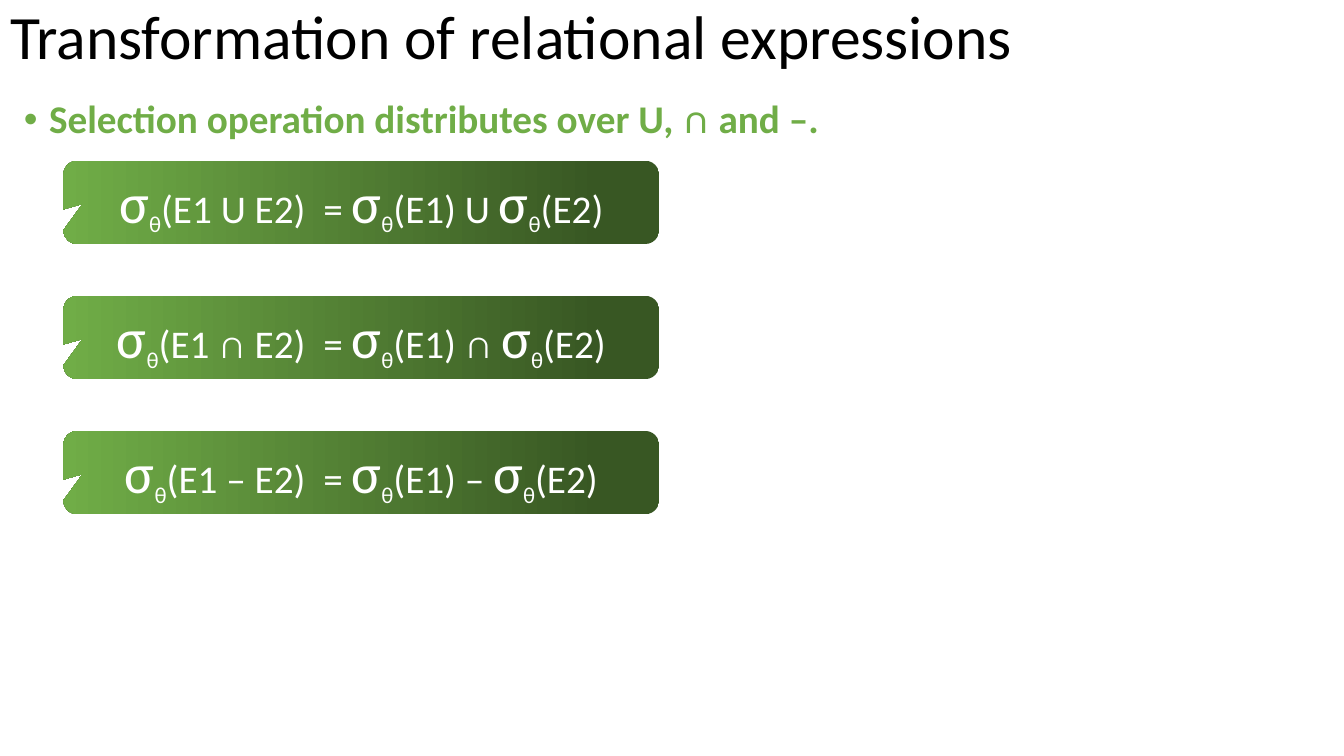
import pptx
import pptx.util
import pptx.dml.color
import pptx.enum.shapes
import pptx.enum.text
import pptx.oxml.ns
import lxml.etree

TITLE = "Transformation of relational expressions"
RULE = "Selection operation distributes over U, ∩ and –."
OPERATORS = ["U", "∩", "–"]
COLORS = {"title": "000000", "green": "70AD47", "dark": "385723", "formula": "FFFFFF"}
FONT = "Calibri"
Pt = pptx.util.Pt

CALLOUT_LEFT, CALLOUT_TOP = 45.36, 114.8
CALLOUT_WIDTH, CALLOUT_HEIGHT = 425.5, 59.5
CALLOUT_STEP = 96.5
CALLOUT_ADJUSTMENTS = (-0.468, 0.019, 0.167)


def rgb(name):
    """Return the named colour."""
    return pptx.dml.color.RGBColor.from_string(COLORS[name])


def style(font, size, color, bold=False):
    """Set face, size, colour and weight of a font."""
    font.name = FONT
    font.size = Pt(size)
    font.bold = bold
    font.color.rgb = rgb(color)


def add_title(page):
    """Fill and place the title placeholder."""
    title = page.shapes.title
    title.left, title.top, title.width, title.height = Pt(0), Pt(0), Pt(960), Pt(56)
    frame = title.text_frame
    frame.text = TITLE
    frame.word_wrap = True
    frame.auto_size = pptx.enum.text.MSO_AUTO_SIZE.NONE
    frame.vertical_anchor = pptx.enum.text.MSO_ANCHOR.MIDDLE
    para = frame.paragraphs[0]
    para.alignment = pptx.enum.text.PP_ALIGN.LEFT
    para.line_spacing = 0.9
    style(para.runs[0].font, 44, "title")


def add_rule(page):
    """Add the bulleted statement."""
    box = page.shapes.add_textbox(Pt(10), Pt(67.7), Pt(940), Pt(440))
    frame = box.text_frame
    frame.word_wrap = True
    frame.text = RULE
    para = frame.paragraphs[0]
    para.line_spacing = 0.9
    properties = para._p.get_or_add_pPr()
    properties.set("marL", str(Pt(18)))
    properties.set("indent", str(-Pt(18)))
    bullet_font = lxml.etree.SubElement(properties, pptx.oxml.ns.qn("a:buFont"))
    bullet_font.set("typeface", "Arial")
    bullet = lxml.etree.SubElement(properties, pptx.oxml.ns.qn("a:buChar"))
    bullet.set("char", "•")
    style(para.runs[0].font, 28, "green", bold=True)


def add_formula(para, operator):
    """Write the distribution law for one set operator."""
    for tail in (f"(E1 {operator} E2)  = ", f"(E1) {operator} ", "(E2)"):
        for text, size, baseline in (("σ", 40, 0), ("θ", 28, -25000), (tail, 28, 0)):
            span = para.add_run()
            span.text = text
            style(span.font, size, "formula")
            if baseline:
                span._r.get_or_add_rPr().set("baseline", str(baseline))


def add_callout(page, top, operator):
    """Add one gradient callout with its formula."""
    kind = pptx.enum.shapes.MSO_SHAPE.ROUNDED_RECTANGULAR_CALLOUT
    callout = page.shapes.add_shape(
        kind, Pt(CALLOUT_LEFT), Pt(top), Pt(CALLOUT_WIDTH), Pt(CALLOUT_HEIGHT))
    for index, value in enumerate(CALLOUT_ADJUSTMENTS):
        callout.adjustments[index] = value
    callout.shadow.inherit = False
    callout.line.fill.background()
    callout.fill.gradient()
    callout.fill.gradient_angle = 180
    stops = ((0.1, "dark"), (1, "green"))
    for stop, (position, color) in zip(callout.fill.gradient_stops, stops):
        stop.position = position
        stop.color.rgb = rgb(color)
    frame = callout.text_frame
    frame.word_wrap = True
    frame.vertical_anchor = pptx.enum.text.MSO_ANCHOR.MIDDLE
    para = frame.paragraphs[0]
    para.alignment = pptx.enum.text.PP_ALIGN.CENTER
    add_formula(para, operator)


def main():
    """Build the slide and save it."""
    deck = pptx.Presentation()
    deck.slide_width, deck.slide_height = Pt(960), Pt(540)
    page = deck.slides.add_slide(deck.slide_layouts.get_by_name("Title Only"))
    add_title(page)
    add_rule(page)
    for row, operator in enumerate(OPERATORS):
        add_callout(page, CALLOUT_TOP + row * CALLOUT_STEP, operator)
    deck.save("out.pptx")


if __name__ == "__main__":
    main()
